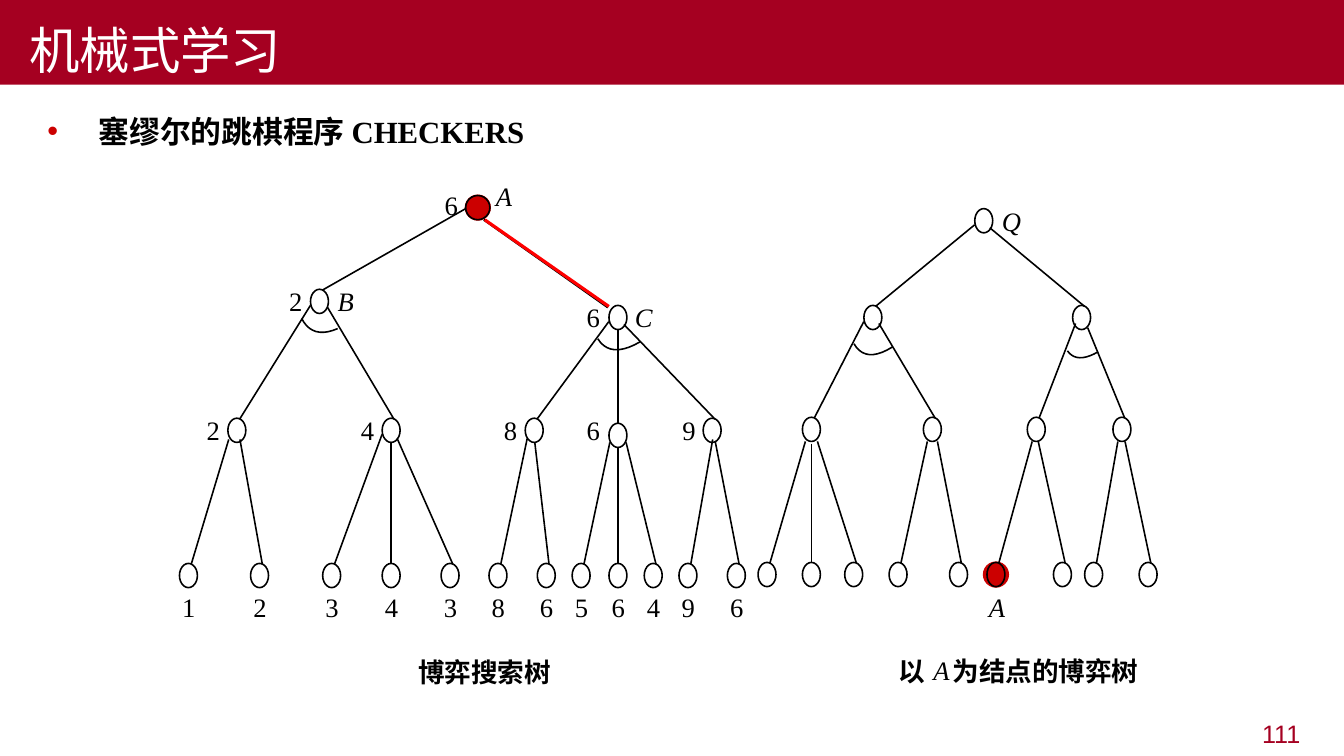
import pptx
import pptx.dml.color
import pptx.enum.shapes
import pptx.enum.text
import pptx.oxml.ns
import pptx.util
from lxml import etree

Pt = pptx.util.Pt
ALIGN = pptx.enum.text.PP_ALIGN
COLORS = {"crimson": "A50021", "red": "CC0000", "move": "FF0000",
          "black": "000000", "white": "FFFFFF"}
SERIF, SANS, CJK = "Times New Roman", "Arial", "Noto Sans CJK SC"
NODE_WIDTH, NODE_HEIGHT = 12.8, 17.3
LEAF_LABEL_TOP = 422

# Node centres of both trees
SEARCH_LEAVES = [134.6, 185.4, 236.9, 279.4, 321.5, 355.7, 390.2, 415.1, 441.4,
                 466.6, 491.4, 526]
SEARCH_VALUES = "123438656496"
SEARCH_VALUES = "1 2 3 4 3 8 6 5 6 4 9 6".split()
REUSED_LEAVES = [547.9, 579.6, 609.8, 641.5, 684.7, 711.4, 758.9, 781.2, 820.1]
ROOT = (341.3, 148.3)
NODES = {
    "B": (228.2, 215.3), "C": (441.4, 226.8),
    "B1": (169.2, 307.4), "B2": (279.4, 307.4),
    "C1": (381.6, 307.4), "C2": (441.4, 311), "C3": (508.7, 307.4),
    "Q": (702.7, 157.7), "Q1": (623.5, 226.8), "Q2": (772.6, 226.8),
    "Q11": (579.6, 306.7), "Q12": (666, 306.7),
    "Q21": (740.2, 306.7), "Q22": (801.4, 306.7),
}
NODES.update({f"s{i}": (x, 411.1) for i, x in enumerate(SEARCH_LEAVES)})
NODES.update({f"r{i}": (x, 410.4) for i, x in enumerate(REUSED_LEAVES)})

# Parent: (child, x and y of the edge start from the parent's centre)
EDGES = {
    "B": [("B1", -6.5, 2.9), ("B2", 5.8, 4.3)],
    "C": [("C1", -6.5, 2.9), ("C2", 0, 7.9), ("C3", 4.3, 5)],
    "B1": [("s0", -5.8, 6.5), ("s1", 2.2, 6.5)],
    "B2": [("s2", -6.5, 2.9), ("s3", 0, 8.6), ("s4", 4.3, 5.8)],
    "C1": [("s5", -5, 5.8), ("s6", 0.4, 8.6)],
    "C2": [("s7", -5.8, 5), ("s8", 0, 8.6), ("s9", 5.8, 5)],
    "C3": [("s10", 0.4, 6.5), ("s11", 2.2, 7.9)],
    "Q": [("Q1", -6.5, 2.9), ("Q2", 4.3, 5)],
    "Q1": [("Q11", -6.5, 2.9), ("Q12", 4.3, 4.3)],
    "Q2": [("Q21", -4.3, 4.3), ("Q22", 4.3, 7.2)],
    "Q11": [("r0", -4.3, 8.6), ("r1", 0, 10.1), ("r2", 4.3, 8.6)],
    "Q12": [("r3", -3.6, 8.6), ("r4", 3.6, 8.6)],
    "Q21": [("r5", -2.9, 8.6), ("r6", 1.4, 8.6)],
    "Q22": [("r7", -2.9, 8.6), ("r8", 2.2, 8.6)],
}
# Arcs: left, top, width, drop of the right end, drop of the control point
ARCS = [(215.5, 227.5, 25.7, 7.2, 15), (427, 242, 30.2, 2.2, 14.5),
        (610, 245.5, 27.7, 2.2, 14.5), (762.5, 250.6, 22, 0.7, 9.5)]
VALUES = [("6", 317.5, 134.6), ("2", 206.6, 203.8), ("6", 419, 215.3),
          ("2", 147.6, 296), ("4", 257.8, 296), ("8", 360, 296),
          ("6", 419, 296), ("9", 487.4, 296)]
NAMES = [("A", 354.2, 128.2), ("B", 241.2, 203.8), ("C", 453.6, 215.3),
         ("Q", 715.7, 146.2), ("A", 706.3, LEAF_LABEL_TOP), ("A", 666.7, 467.3)]
CAPTIONS = [("博弈搜索树", 298.8, 468.7, 109.4), ("以", 641.5, 468, 19.4),
            ("为结点的博弈树", 680.4, 468, 135.4)]


def rgb(name):
    return pptx.dml.color.RGBColor.from_string(COLORS[name])


def style(paragraph, size, font, color, bold=False, italic=False):
    for run in paragraph.runs:
        run.font.size, run.font.name = Pt(size), font
        run.font.bold, run.font.italic = bold, italic
        run.font.color.rgb = rgb(color)
        east_asian = etree.SubElement(run.font._element, pptx.oxml.ns.qn("a:ea"))
        east_asian.set("typeface", CJK)


def place(shape, left, top, width, height):
    shape.left, shape.top = Pt(left), Pt(top)
    shape.width, shape.height = Pt(width), Pt(height)


def add_title(slide, text):
    title = slide.shapes.title
    place(title, 0, 0, 960, 60.5)
    title.fill.solid()
    title.fill.fore_color.rgb = rgb("crimson")
    frame = title.text_frame
    frame.text = text
    frame.auto_size = pptx.enum.text.MSO_AUTO_SIZE.NONE
    frame.vertical_anchor = pptx.enum.text.MSO_ANCHOR.BOTTOM
    paragraph = frame.paragraphs[0]
    paragraph.alignment = ALIGN.LEFT
    paragraph._p.get_or_add_pPr().set("indent", str(Pt(13.7)))
    style(paragraph, 36, SERIF, "white")


def add_body(slide, text):
    body = slide.placeholders[1]
    place(body, 26.6, 71.3, 907.2, 425.5)
    body.text_frame.text = text
    body.text_frame.auto_size = pptx.enum.text.MSO_AUTO_SIZE.NONE
    paragraph = body.text_frame.paragraphs[0]
    properties = paragraph._p.get_or_add_pPr()
    properties.set("marL", str(Pt(36.7)))
    properties.set("indent", str(Pt(-36.7)))
    qn = pptx.oxml.ns.qn
    bullet_color = etree.SubElement(properties, qn("a:buClr"))
    etree.SubElement(bullet_color, qn("a:srgbClr")).set("val", COLORS["red"])
    etree.SubElement(properties, qn("a:buFont")).set("typeface", SANS)
    etree.SubElement(properties, qn("a:buChar")).set("char", "•")
    paragraph.line_spacing, paragraph.space_before = 1.2, Pt(0)
    style(paragraph, 22, SERIF, "black", bold=True)


def add_label(slide, text, left, top, width=11.5, font=SERIF, **emphasis):
    box = slide.shapes.add_textbox(Pt(left), Pt(top), Pt(width), Pt(23))
    frame = box.text_frame
    frame.margin_left = frame.margin_right = frame.margin_top = frame.margin_bottom = 0
    frame.word_wrap = False
    frame.text = text
    style(frame.paragraphs[0], 19, font, "black", **emphasis)


def add_page_number(slide, text):
    box = slide.shapes.add_textbox(Pt(727.9), Pt(509.8), Pt(208), Pt(28))
    box.text_frame.word_wrap = True
    box.text_frame.text = text
    paragraph = box.text_frame.paragraphs[0]
    paragraph.alignment = ALIGN.RIGHT
    style(paragraph, 18, SANS, "crimson")


def set_outline(shape, color="black", width=1.13):
    shape.shadow.inherit = False
    shape.line.color.rgb = rgb(color)
    shape.line.width = Pt(width)


def add_node(slide, center, width=NODE_WIDTH, height=NODE_HEIGHT):
    x, y = center
    node = slide.shapes.add_shape(pptx.enum.shapes.MSO_SHAPE.OVAL, Pt(x - width / 2),
                                  Pt(y - height / 2), Pt(width), Pt(height))
    node.fill.background()
    set_outline(node)
    return node


def add_disc(slide, center):
    disc = add_node(slide, center, 18, 18)
    disc.fill.solid()
    disc.fill.fore_color.rgb = rgb("red")
    set_outline(disc, "red", 0.75)


def add_line(slide, start, end, color="black", width=1.13):
    line = slide.shapes.add_connector(pptx.enum.shapes.MSO_CONNECTOR.STRAIGHT,
                                      *map(Pt, (*start, *end)))
    line.line.color.rgb = rgb(color)
    line.line.width = Pt(width)
    etree.SubElement(line._element.spPr, pptx.oxml.ns.qn("a:effectLst"))


def add_edge(slide, parent, child, dx, dy):
    end_x = child[0] + (2 if dx else 0)
    add_line(slide, (parent[0] + dx, parent[1] + dy), (end_x, child[1] - 8))


def add_arc(slide, left, top, width, right_drop, control_drop):
    points = []
    for step in range(11):
        t = step / 10
        x = left + width * ((1 - t) ** 2 + 0.6 * t * (1 - t))
        y = top + right_drop * (1 - t) ** 2 + 2 * control_drop * t * (1 - t)
        points.append((Pt(x), Pt(y)))
    builder = slide.shapes.build_freeform(*points[0], scale=1.0)
    builder.add_line_segments(points[1:], close=False)
    arc = builder.convert_to_shape()
    arc.fill.background()
    set_outline(arc)


def main():
    presentation = pptx.Presentation()
    presentation.slide_width, presentation.slide_height = Pt(960), Pt(540)
    slide = presentation.slides.add_slide(presentation.slide_layouts[1])
    add_title(slide, "机械式学习")
    add_body(slide, "塞缪尔的跳棋程序 CHECKERS")
    add_page_number(slide, "111")

    # Trees
    add_disc(slide, ROOT)
    add_disc(slide, NODES["r5"])
    add_node(slide, ROOT, 17.3, 17.3)
    for center in NODES.values():
        add_node(slide, center)
    add_edge(slide, ROOT, NODES["B"], -8.6, 0.7)
    for parent, children in EDGES.items():
        for child, dx, dy in children:
            add_edge(slide, NODES[parent], NODES[child], dx, dy)
    for arc in ARCS:
        add_arc(slide, *arc)

    # Labels and captions
    leaf_values = [(value, x - 4.5, LEAF_LABEL_TOP)
                   for value, x in zip(SEARCH_VALUES, SEARCH_LEAVES)]
    for label in VALUES + leaf_values:
        add_label(slide, *label, width=9.5)
    for label in NAMES:
        add_label(slide, *label, italic=True)
    for caption in CAPTIONS:
        add_label(slide, *caption, font=CJK, bold=True)

    # Chosen move from A to C
    add_line(slide, (345.6, 157), (434.2, 219.6), width=1.5)
    add_line(slide, (346.3, 157), (434.9, 218.9), "move", 2.25)
    presentation.save("out.pptx")


if __name__ == "__main__":
    main()
